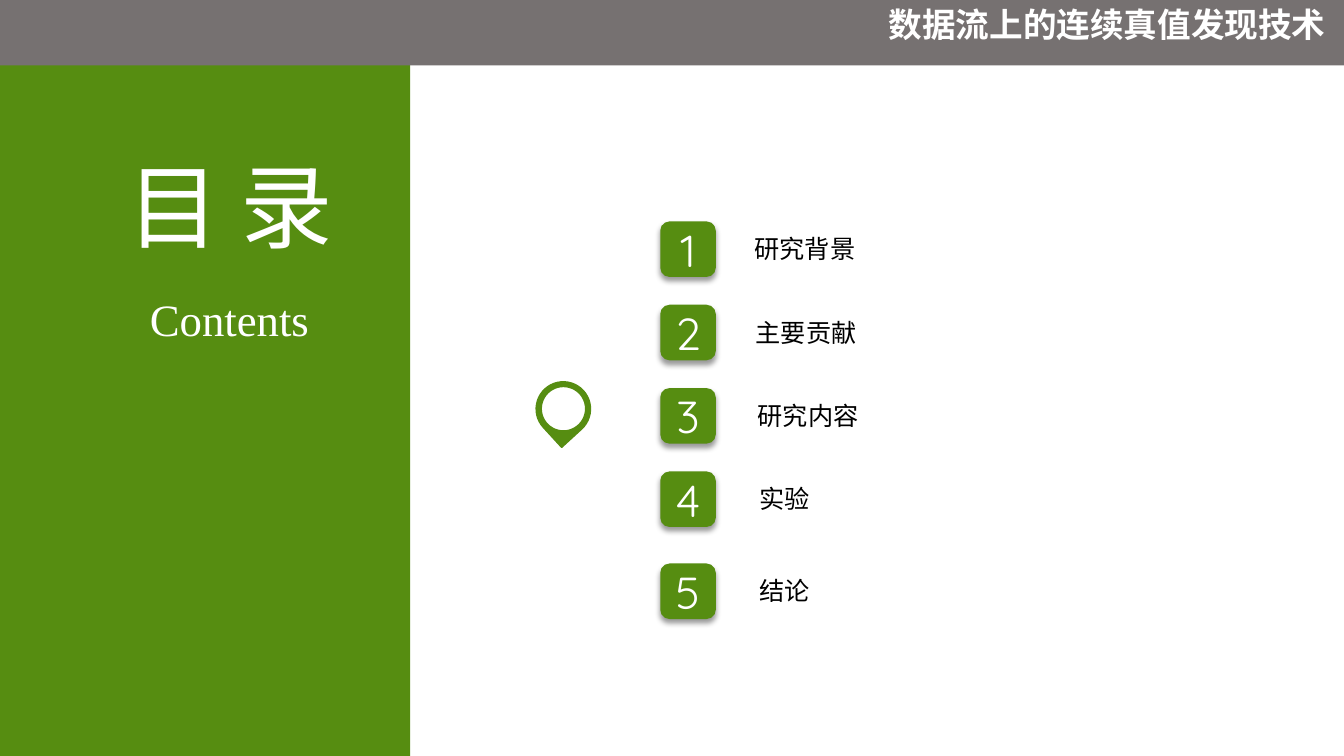
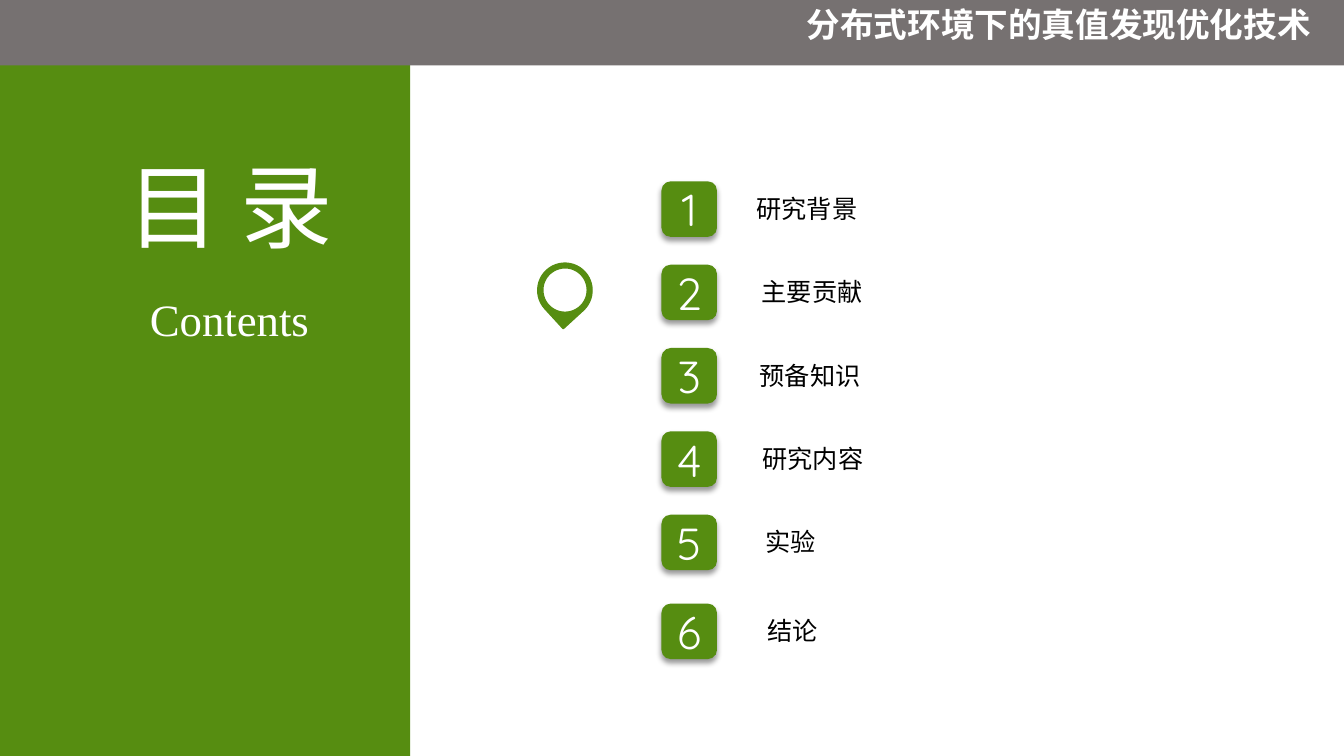
from dataclasses import dataclass

from lxml.etree import SubElement
from pptx import Presentation
from pptx.dml.color import RGBColor
from pptx.enum.shapes import MSO_SHAPE as Preset
from pptx.enum.text import MSO_ANCHOR as Anchor, MSO_AUTO_SIZE as AutoSize, PP_ALIGN as Align
from pptx.oxml.ns import qn
from pptx.util import Cm, Pt


@dataclass(frozen=True)
class Theme:
    green: str = "568D11"
    gray: str = "767171"
    white: str = "FFFFFF"
    black: str = "000000"
    chinese: str = "Noto Sans CJK SC"
    digits: str = "Quicksand"
    latin: str = "Times New Roman"
    heading: int = 66
    number: int = 32
    title: int = 24
    label: int = 18
    width: float = 33.87
    height: float = 19.05
    badge: float = 1.4
    pitch: float = 2.1


class ContentsDeck:
    def __init__(self, theme):
        self.theme = theme
        self.deck = Presentation()
        self.deck.slide_width = Cm(theme.width)
        self.deck.slide_height = Cm(theme.height)
        self.slide = None

    def add_words(self, frame, words, size, font, color, bold=False):
        paragraph = frame.paragraphs[0]
        paragraph.alignment = Align.CENTER
        run = paragraph.add_run()
        run.text = words
        run.font.size = Pt(size)
        run.font.bold = bold
        run.font.color.rgb = RGBColor.from_string(color)
        run.font.name = font
        SubElement(run._r.get_or_add_rPr(), qn("a:ea"), typeface=font)

    def text(self, left, top, width, height, words, size, font, color, bold=False):
        box = self.slide.shapes.add_textbox(Cm(left), Cm(top), Cm(width), Cm(height))
        box.text_frame.word_wrap = False
        box.text_frame.auto_size = AutoSize.SHAPE_TO_FIT_TEXT
        self.add_words(box.text_frame, words, size, font, color, bold)

    def shape(self, preset, left, top, width, height, fill, outline=None, parent=None):
        owner = parent or self.slide
        item = owner.shapes.add_shape(preset, Cm(left), Cm(top), Cm(width), Cm(height))
        item.shadow.inherit = False
        item.fill.solid()
        item.fill.fore_color.rgb = RGBColor.from_string(fill)
        if outline:
            item.line.color.rgb = RGBColor.from_string(outline)
            item.line.width = Pt(1)
        else:
            item.line.fill.background()
        return item

    def badge(self, left, top, number):
        t = self.theme
        tile = self.shape(Preset.ROUNDED_RECTANGLE, left, top, t.badge, t.badge, t.green)
        effects = tile._element.spPr.find(qn("a:effectLst"))
        shadow = SubElement(effects, qn("a:outerShdw"), blurRad=str(Pt(4)), dist=str(Pt(3)),
                            dir="5400000", algn="t", rotWithShape="0")
        tint = SubElement(shadow, qn("a:srgbClr"), val=t.black)
        SubElement(tint, qn("a:alpha"), val="40000")
        tile.text_frame.vertical_anchor = Anchor.MIDDLE
        self.add_words(tile.text_frame, str(number), t.number, t.digits, t.white)

    def agenda(self, left, top, last_gap, topics):
        t = self.theme
        for index, (topic, label_left) in enumerate(topics):
            row = top + index * t.pitch
            if index == len(topics) - 1:
                row += last_gap
            self.badge(left, row, index + 1)
            self.text(label_left, row + 0.18, 0.53 + 0.635 * len(topic), 1.02,
                      topic, t.label, t.chinese, t.black)

    def side_panel(self):
        t = self.theme
        self.shape(Preset.RECTANGLE, 0, 0, 10.34, t.height, t.green)
        self.text(2.6, 3.63, 6.4, 3.07, "目 录", t.heading, t.chinese, t.white)
        self.text(3.5, 7.22, 4.57, 1.62, "Contents", t.number, t.latin, t.white)

    def pin(self, left, top):
        t = self.theme
        marker = self.slide.shapes.add_group_shape()
        drop = self.shape(Preset.TEAR, left, top, 1.37, 1.37, t.green, t.green, marker)
        drop.rotation = 137.5
        self.shape(Preset.OVAL, left + 0.13, top + 0.12, 1.12, 1.12, t.white, t.green, marker)

    def title_band(self, title, center):
        t = self.theme
        self.shape(Preset.RECTANGLE, 0, 0, t.width, 1.65, t.gray)
        reach = t.width - center
        self.text(center - reach, -0.02, 2 * reach, 1.28,
                  title, t.title, t.chinese, t.white, bold=True)

    def contents(self, title, title_center, badges, last_gap, pin, topics):
        self.slide = self.deck.slides.add_slide(self.deck.slide_layouts[6])
        self.side_panel()
        self.title_band(title, title_center)
        self.pin(*pin)
        self.agenda(*badges, last_gap, topics)


def main():
    talk = ContentsDeck(Theme())
    talk.contents(
        "数据流上的连续真值发现技术", 27.9,
        badges=(16.64, 5.58), last_gap=0.22, pin=(13.51, 9.62),
        topics=[("研究背景", 18.75), ("主要贡献", 18.78), ("研究内容", 18.83),
                ("实验", 18.87), ("结论", 18.87)])
    talk.contents(
        "分布式环境下的真值发现优化技术", 26.68,
        badges=(16.67, 4.57), last_gap=0.14, pin=(13.55, 6.63),
        topics=[("研究背景", 18.8), ("主要贡献", 18.93), ("预备知识", 18.88),
                ("研究内容", 18.95), ("实验", 19.02), ("结论", 19.08)])
    talk.deck.save("out.pptx")


if __name__ == "__main__":
    main()
